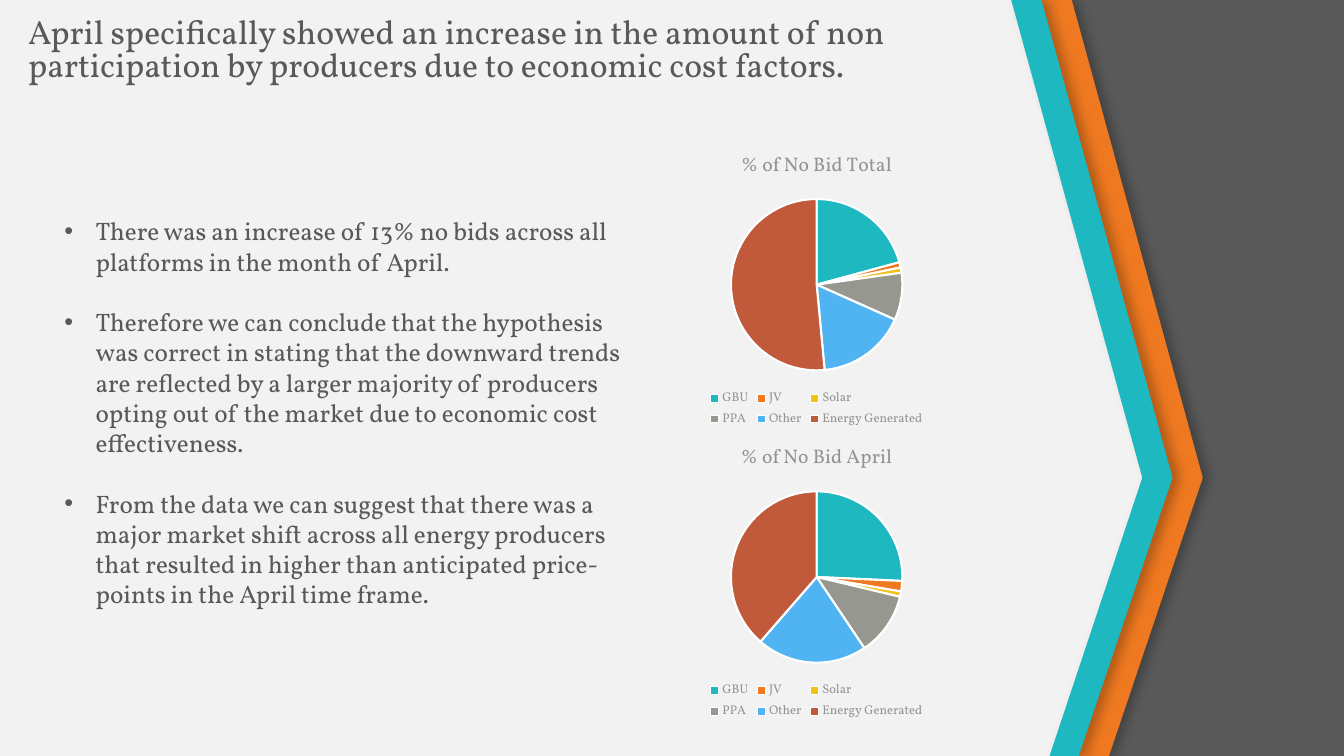
from lxml import etree
from pptx import Presentation
from pptx import util as u
from pptx.chart.data import CategoryChartData
from pptx.dml.color import RGBColor
from pptx.enum import chart as charts, text
from pptx.oxml import parse_xml
from pptx.oxml.ns import nsdecls, qn

COLORS = {
    "background": "F2F2F2", "dark": "595959", "muted": "939393",
    "white": "FFFFFF", "black": "000000",
    "teal": "1EB8C1", "orange": "EF7920", "yellow": "EFC119",
    "gray": "969890", "blue": "50B4F2", "rust": "C05A3A",
}
SLICE_COLORS = ["teal", "orange", "yellow", "gray", "blue", "rust"]
PRODUCERS = ["GBU", "JV", "Solar", "PPA", "Other", "Energy Generated"]
TITLE = ("April specifically showed an increase in the amount of non "
         "participation by producers due to economic cost factors.")
FINDINGS = [
    "There was an increase of 13% no bids across all platforms in the month of April.",
    "Therefore we can conclude that the hypothesis was correct in stating that the "
    "downward trends are reflected by a larger majority of producers opting out of "
    "the market due to economic cost effectiveness.",
    "From the data we can suggest that there was a major market shift across all "
    "energy producers that resulted in higher than anticipated price- points in the "
    "April time frame.",
]


def color(name):
    return RGBColor.from_string(COLORS[name])


class SlideBuilder:
    font = "Vollkorn"

    def __init__(self, slide):
        self.slide = slide
        fill = slide.background.fill
        fill.solid()
        fill.fore_color.rgb = color("background")

    def style(self, font, size, name):
        font.name = self.font
        font.size = u.Pt(size)
        font.bold = False
        font.color.rgb = color(name)

    def band(self, points, fill, shadow=False):
        points = [(u.Inches(x), u.Inches(y)) for x, y in points]
        builder = self.slide.shapes.build_freeform(*points[0])
        builder.add_line_segments(points[1:], close=True)
        shape = builder.convert_to_shape()
        shape.fill.solid()
        shape.fill.fore_color.rgb = color(fill)
        shape.line.fill.background()
        shape.shadow.inherit = False
        if shadow:
            effects = shape._element.spPr.find(qn("a:effectLst"))
            effects.append(parse_xml(
                f'<a:outerShdw {nsdecls("a")} blurRad="{u.Pt(8)}" dist="{u.Pt(4)}" '
                f'dir="0" algn="l" rotWithShape="0"><a:srgbClr val="{COLORS["black"]}">'
                '<a:alpha val="25000"/></a:srgbClr></a:outerShdw>'))

    def text(self, box, paragraphs, size, line_spacing=1.0, gap=0, bullet=False):
        frame = self.slide.shapes.add_textbox(*map(u.Inches, box)).text_frame
        frame.word_wrap = True
        frame.vertical_anchor = text.MSO_ANCHOR.TOP
        for index, content in enumerate(paragraphs):
            paragraph = frame.add_paragraph() if index else frame.paragraphs[0]
            paragraph.line_spacing = line_spacing
            paragraph.space_before = u.Pt(gap if index else 0)
            run = paragraph.add_run()
            run.text = content
            self.style(run.font, size, "dark")
            if bullet:
                self.bullet(paragraph)

    def bullet(self, paragraph):
        properties = paragraph._p.get_or_add_pPr()
        indent = u.Inches(0.31)
        properties.set("marL", str(indent))
        properties.set("indent", str(-indent))
        etree.SubElement(properties, qn("a:buFont")).set("typeface", "Arial")
        etree.SubElement(properties, qn("a:buChar")).set("char", "•")

    def layout(self, parent, index, box, inner=False):
        for existing in parent.findall(qn("c:layout")):
            parent.remove(existing)
        target = '<c:layoutTarget val="inner"/>' if inner else ""
        modes = "".join(f'<c:{axis}Mode val="edge"/>' for axis in "xy")
        sizes = "".join(f'<c:{key} val="{value}"/>' for key, value in zip("xywh", box))
        parent.insert(index, parse_xml(
            f'<c:layout {nsdecls("c")}><c:manualLayout>{target}{modes}{sizes}'
            '</c:manualLayout></c:layout>'))

    def pie(self, box, title, values):
        data = CategoryChartData(number_format="0")
        data.categories = PRODUCERS
        data.add_series(title, values)
        chart = self.slide.shapes.add_chart(
            charts.XL_CHART_TYPE.PIE, *map(u.Inches, box), data).chart
        self.style(chart.font, 10, "dark")

        # Chart title
        chart.has_title = True
        chart.chart_title.include_in_layout = False
        run = chart.chart_title.text_frame.paragraphs[0].add_run()
        run.text = title
        self.style(run.font, 14, "muted")

        # Slices
        plot = chart.plots[0]
        plot.vary_by_categories = True
        for index, name in enumerate(SLICE_COLORS):
            slice_format = plot.series[0].points[index].format
            slice_format.fill.solid()
            slice_format.fill.fore_color.rgb = color(name)
            slice_format.line.color.rgb = color("white")
            slice_format.line.width = u.Pt(1.5)
        plot_area = chart._chartSpace.chart.plotArea
        self.layout(plot_area, 0, (0.33, 0.21, 0.34, 0.57), inner=True)

        # Legend in two rows
        chart.has_legend = True
        legend = chart.legend
        legend.position = charts.XL_LEGEND_POSITION.BOTTOM
        legend.include_in_layout = False
        self.style(legend.font, 9, "muted")
        self.layout(legend._element, 1, (0.28, 0.83, 0.44, 0.15))


def main():
    presentation = Presentation()
    presentation.slide_width = u.Inches(13.33)
    presentation.slide_height = u.Inches(7.5)
    builder = SlideBuilder(presentation.slides.add_slide(presentation.slide_layouts[6]))

    # Chevron bands on the right
    builder.band([(10.52, 0), (13.33, 0), (13.33, 7.5), (10.89, 7.5), (11.82, 4.74)],
                 "dark")
    builder.band([(10.1, 0), (10.63, 0), (11.93, 4.74), (11, 7.5), (10.48, 7.5),
                  (11.4, 4.74)], "orange", shadow=True)
    builder.band([(10.03, 0), (10.33, 0), (11.63, 4.74), (10.7, 7.5), (10.41, 7.5),
                  (11.33, 4.74)], "teal", shadow=True)

    # Headline
    builder.text((0.18, 0.14, 8.82, 1.11), [TITLE], 24, line_spacing=0.8)

    # Pie charts
    builder.pie((5.6, 4.24, 5, 3), "% of No Bid April", (26, 2, 1, 12, 21, 39))
    builder.pie((5.6, 1.34, 5, 3), "% of No Bid Total", (21, 1, 1, 9, 17, 52))

    # Findings
    builder.text((0.54, 2.09, 5.76, 4.95), FINDINGS, 18, gap=21.6, bullet=True)

    presentation.save("out.pptx")


if __name__ == "__main__":
    main()
